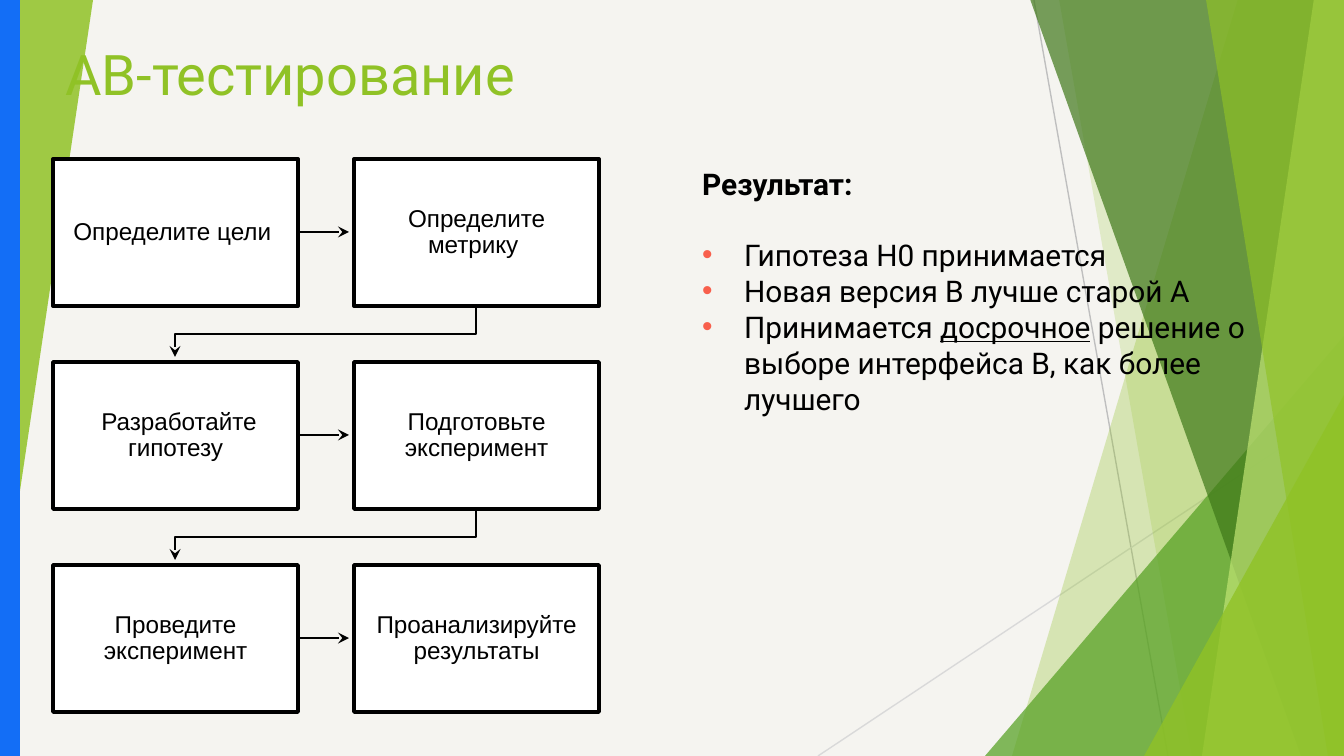
from lxml.etree import SubElement
from pptx import Presentation
from pptx.dml.color import RGBColor
from pptx.enum.shapes import MSO_CONNECTOR, MSO_SHAPE
from pptx.enum.text import MSO_ANCHOR, PP_ALIGN
from pptx.oxml.ns import qn
from pptx.util import Pt

PX = 6804
WIDTH, HEIGHT = 1344, 756
GREEN, BLACK, WHITE = "90C226", "000000", "FFFFFF"


def paint(target, colour, opacity=100):
    target.solid()
    target.fore_color.rgb = RGBColor.from_string(colour)
    if opacity < 100:
        SubElement(target.fore_color._xFill[0], qn("a:alpha"), val=str(opacity * 1000))


def write(para, text, colour, **values):
    span = para.add_run()
    span.text = text
    for name, value in values.items():
        setattr(span.font, name, value)
    paint(span.font.fill, colour)


deck = Presentation()
deck.slide_width, deck.slide_height = WIDTH * PX, HEIGHT * PX
page = deck.slides.add_slide(deck.slide_layouts[6])
shapes = page.shapes
paint(page.background.fill, "F5F4F0")

for x1, y1, x2, y2, colour in [
    (1034, 0, 1168, HEIGHT, "BFBFBF"),
    (WIDTH, 406, 818, HEIGHT, "D9D9D9"),
]:
    ray = shapes.add_connector(MSO_CONNECTOR.STRAIGHT, x1 * PX, y1 * PX, x2 * PX, y2 * PX)
    paint(ray.line.fill, colour)
    ray.line.width = Pt(0.75)
    SubElement(ray._element.spPr, qn("a:effectLst"))

facets = [
    ("band", (1238, 1012), "90C226", 30),
    ("band", (1059, 1192), "90C226", 20),
    ("triangle", (985, 336, 359, 420, 0), "54A021", 72),
    ("band", (1030, 1301), "3F7819", 70),
    ("band", (1314, 1202), "C0E474", 70),
    ("band", (1206, 1328), "90C226", 65),
    ("triangle", (1144, 395, 200, 361, 0), GREEN, 80),
    ("triangle", (0, 0, 93, 625, 180), GREEN, 85),
]
for kind, place, colour, opacity in facets:
    if kind == "band":
        top_x, bottom_x = place
        outline = shapes.build_freeform(top_x, -1, scale=PX)
        outline.add_line_segments([(WIDTH, -1), (WIDTH, HEIGHT), (bottom_x, HEIGHT)])
        facet = outline.convert_to_shape()
    else:
        left, top, width, height, turn = place
        facet = shapes.add_shape(
            MSO_SHAPE.ISOSCELES_TRIANGLE, left * PX, top * PX, width * PX, height * PX
        )
        facet.adjustments[0] = 1
        facet.rotation = turn
    paint(facet.fill, colour, opacity)
    facet.line.fill.background()
    facet.shadow.inherit = False

title = shapes.add_textbox(52 * PX, 27 * PX, 890 * PX, 137 * PX).text_frame
title.word_wrap = True
title.margin_top = title.margin_bottom = 13 * PX
write(title.paragraphs[0], "AB-тестирование", GREEN, name="Roboto", size=Pt(30))

stripe = shapes.add_shape(MSO_SHAPE.RECTANGLE, 0, -PX, 20 * PX, 759 * PX)
paint(stripe.fill, "136EF6")
stripe.line.fill.background()
stripe.shadow.inherit = False

steps = [
    ("Определите цели ", "Определите метрику "),
    (" Разработайте гипотезу", "Подготовьте эксперимент"),
    ("Проведите эксперимент", "Проанализируйте результаты"),
]
LEFT, TOP, STEP_X, STEP_Y = 53, 159, 301, 203
BOX_W, BOX_H, TIP_GAP = 245, 147, 5
routes = []
for row, names in enumerate(steps):
    top = TOP + row * STEP_Y
    middle = top + BOX_H // 2
    routes.append([(LEFT + BOX_W, middle), (LEFT + STEP_X - TIP_GAP, middle)])
    if row < len(steps) - 1:
        target_x = LEFT + BOX_W // 2
        source_x = target_x + STEP_X
        bottom = top + BOX_H
        bend = bottom + 28
        tip = top + STEP_Y - TIP_GAP
        routes.append([(source_x, bottom), (source_x, bend), (target_x, bend), (target_x, tip)])
    for column, name in enumerate(names):
        box = shapes.add_shape(
            MSO_SHAPE.RECTANGLE, (LEFT + column * STEP_X) * PX, top * PX, BOX_W * PX, BOX_H * PX
        )
        paint(box.fill, WHITE)
        paint(box.line.fill, BLACK)
        box.line.width = Pt(2)
        box.shadow.inherit = False
        frame = box.text_frame
        for key, value in {
            "word_wrap": True,
            "vertical_anchor": MSO_ANCHOR.MIDDLE,
            "margin_top": 13 * PX,
            "margin_bottom": 13 * PX,
        }.items():
            setattr(frame, key, value)
        para = frame.paragraphs[0]
        para.alignment = PP_ALIGN.CENTER
        para.line_spacing = 0.9
        write(para, name, BLACK, name="Arial", size=Pt(13))

for start, *rest in routes:
    if len(rest) == 1:
        (x1, y1), (x2, y2) = start, rest[0]
        arrow = shapes.add_connector(MSO_CONNECTOR.STRAIGHT, x1 * PX, y1 * PX, x2 * PX, y2 * PX)
    else:
        outline = shapes.build_freeform(*start, scale=PX)
        outline.add_line_segments(rest, close=False)
        arrow = outline.convert_to_shape()
        arrow.fill.background()
    paint(arrow.line.fill, BLACK)
    arrow.line.width = Pt(0.75)
    SubElement(arrow.line._get_or_add_ln(), qn("a:tailEnd"), type="stealth")
    SubElement(arrow._element.spPr, qn("a:effectLst"))

result = shapes.add_textbox(689 * PX, 159 * PX, 575 * PX, 281 * PX).text_frame
result.word_wrap = True
body = {"name": "Roboto", "size": Pt(16)}
write(result.paragraphs[0], "Результат:", BLACK, bold=True, **body)
findings = [
    [("Гипотеза H0 принимается", False)],
    [("Новая версия В лучше старой А", False)],
    [
        ("Принимается ", False),
        ("досрочное", True),
        (" решение о выборе интерфейса В, как более лучшего", False),
    ],
]
for index, finding in enumerate(findings):
    para = result.add_paragraph()
    para.space_before = Pt(0 if index else 19)
    properties = para._p.get_or_add_pPr()
    properties.set("marL", str(42 * PX))
    properties.set("indent", str(-42 * PX))
    bullet_colour = SubElement(properties, qn("a:buClr"))
    SubElement(bullet_colour, qn("a:srgbClr"), val="F85F4C")
    SubElement(properties, qn("a:buFont"), typeface="Arial")
    SubElement(properties, qn("a:buChar"), char="•")
    for text, underlined in finding:
        write(para, text, BLACK, underline=underlined, **body)

deck.save("out.pptx")
